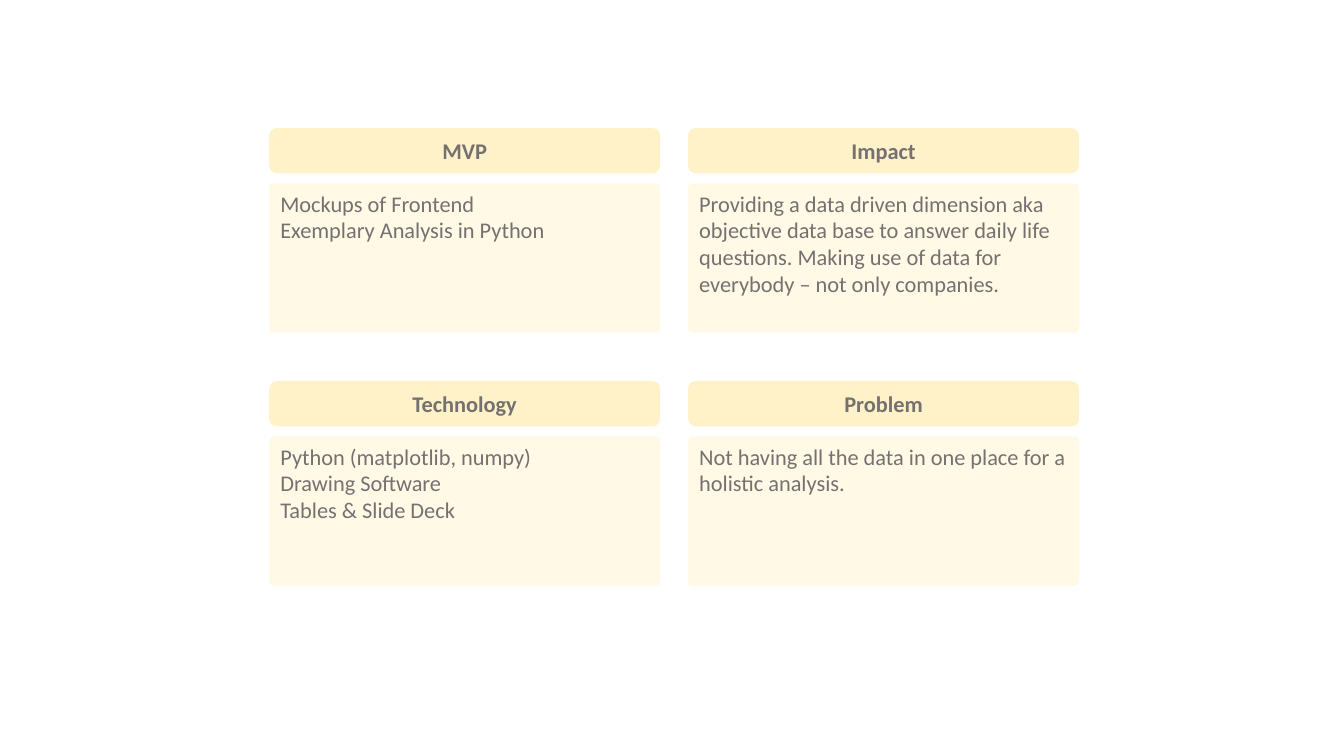
from typing import NamedTuple

from pptx import Presentation
from pptx.dml.color import RGBColor
from pptx.enum.shapes import MSO_SHAPE
from pptx.enum.text import MSO_ANCHOR as ANCHOR, PP_ALIGN as ALIGN
from pptx.util import Pt

LEFT, TOP = 192.24, 91.44
COLUMN_STEP, ROW_STEP = 299.2, 180.72
CARD_WIDTH = 279.36
HEADER_HEIGHT = 32.4
BODY_OFFSET, BODY_HEIGHT = 39.6, 106.56


class Card(NamedTuple):
    column: int
    row: int
    heading: str
    lines: list[str]


class BoxStyle(NamedTuple):
    fill: str
    corner: float
    anchor: ANCHOR
    align: ALIGN
    bold: bool


HEADER = BoxStyle("FFF2C9", 0.17, ANCHOR.MIDDLE, ALIGN.CENTER, True)
BODY = BoxStyle("FFF9E5", 0.03, ANCHOR.TOP, ALIGN.LEFT, False)

CARDS = [
    Card(0, 0, "MVP", ["Mockups of Frontend", "Exemplary Analysis in Python"]),
    Card(0, 1, "Technology", ["Python (matplotlib, numpy)", "Drawing Software",
                              "Tables & Slide Deck"]),
    Card(1, 1, "Problem", ["Not having all the data in one place for a "
                           "holistic analysis."]),
    Card(1, 0, "Impact", ["Providing a data driven dimension aka objective data "
                          "base to answer daily life questions. Making use of "
                          "data for everybody – not only companies."]),
]


def set_color(color_format, value: str) -> None:
    color_format.rgb = RGBColor.from_string(value)


def add_box(s, x: float, y: float, height: float, lines: list[str],
            style: BoxStyle) -> None:
    """Draw one rounded box, with a paragraph for each line."""
    sp = s.shapes.add_shape(MSO_SHAPE.ROUNDED_RECTANGLE, Pt(x), Pt(y),
                            Pt(CARD_WIDTH), Pt(height))
    sp.adjustments[0] = style.corner
    sp.shadow.inherit = False
    sp.fill.solid()
    set_color(sp.fill.fore_color, style.fill)
    sp.line.fill.background()
    tf = sp.text_frame
    tf.word_wrap = True
    tf.vertical_anchor = style.anchor
    font_format = {"name": "Calibri", "size": Pt(16), "bold": style.bold}
    for i, line in enumerate(lines):
        p = tf.add_paragraph() if i else tf.paragraphs[0]
        p.alignment = style.align
        r = p.add_run()
        r.text = line
        for name, value in font_format.items():
            setattr(r.font, name, value)
        set_color(r.font.color, "767171")


def add_card(s, card: Card) -> None:
    x = LEFT + card.column * COLUMN_STEP
    y = TOP + card.row * ROW_STEP
    add_box(s, x, y, HEADER_HEIGHT, [card.heading], HEADER)
    add_box(s, x, y + BODY_OFFSET, BODY_HEIGHT, card.lines, BODY)


def main() -> None:
    prs = Presentation()
    prs.slide_width, prs.slide_height = Pt(960), Pt(540)
    s = prs.slides.add_slide(prs.slide_layouts[6])
    for card in CARDS:
        add_card(s, card)
    prs.save("out.pptx")


if __name__ == "__main__":
    main()
